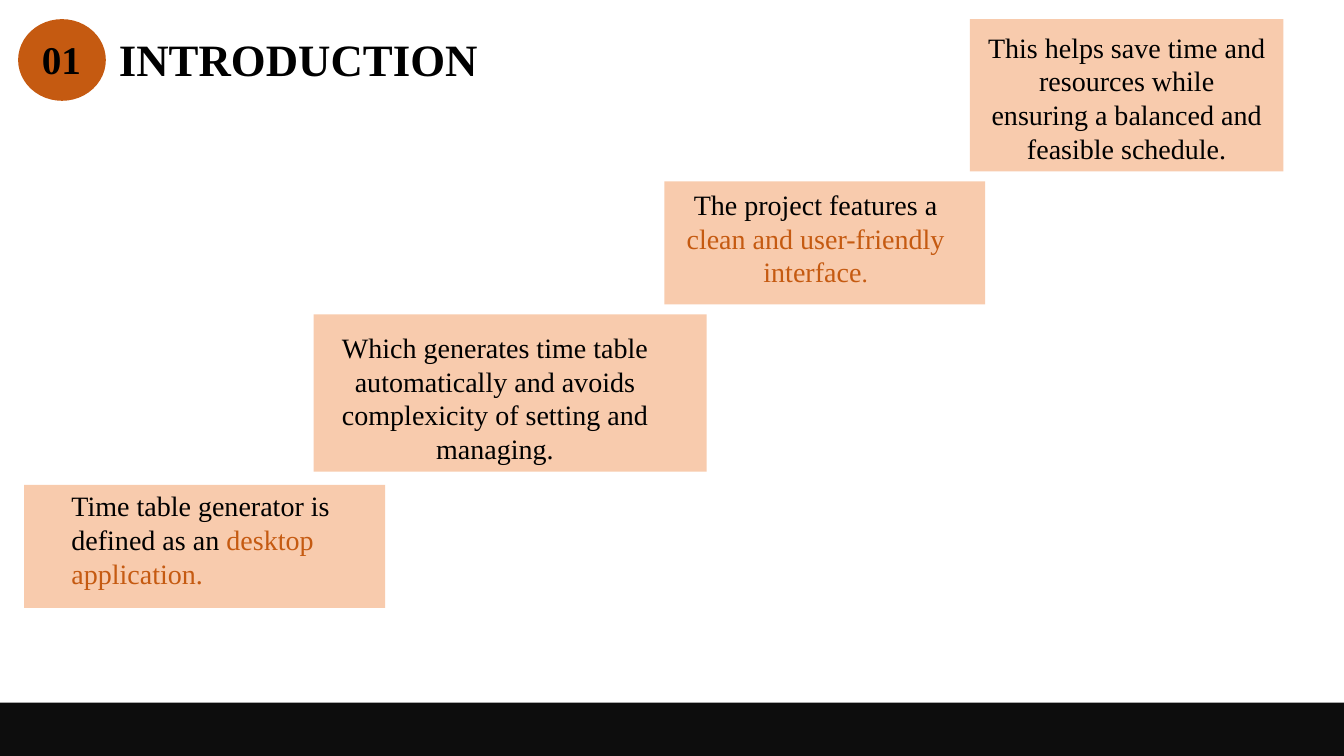
from pptx import Presentation
from pptx.dml.color import RGBColor
from pptx.enum.shapes import MSO_SHAPE
from pptx.enum.text import MSO_AUTO_SIZE, PP_ALIGN
from pptx.util import Inches, Pt

BLACK = RGBColor(0x00, 0x00, 0x00)
FOOTER = RGBColor(0x0D, 0x0D, 0x0D)
ORANGE = RGBColor(0xC5, 0x5A, 0x11)
PEACH = RGBColor(0xF8, 0xCB, 0xAD)
FONT = "Times New Roman"

# Boxes are (left, top, width, height) in inches; runs are (text, size, colour).
FOOTER_BOX = (0, 6.97, 13.33, 0.53)
BADGE_BOX = (0.18, 0.19, 0.87, 0.81)
HEADINGS = [
    ((-0.51, 0.3, 2.24, 0.57), "01", 28),
    ((1.01, 0.27, 3.9, 0.64), "INTRODUCTION", 32),
]
# Each step: card box, text box, alignment, runs.
STEPS = [
    ((0.24, 4.81, 3.58, 1.22), (0.61, 4.8, 3.11, 1.11), PP_ALIGN.LEFT,
     [("Time table generator is defined as an ", 20, BLACK),
      ("desktop application.", 20, ORANGE)]),
    ((3.11, 3.12, 3.9, 1.56), (3.12, 3.23, 3.58, 1.45), PP_ALIGN.CENTER,
     [("Which generates time table automatically and avoids "
       "complexicity of setting and managing.", 20, BLACK)]),
    ((6.59, 1.8, 3.18, 1.22), (6.59, 1.81, 3, 1.11), PP_ALIGN.CENTER,
     [("The project features a ", 20, BLACK),
      ("clean and user-friendly interface", 20, ORANGE),
      (".", 18, ORANGE)]),
    ((9.62, 0.19, 3.11, 1.51), (9.7, 0.25, 2.95, 1.45), PP_ALIGN.CENTER,
     [("This helps save time and resources while ensuring "
       "a balanced and feasible schedule.", 20, BLACK)]),
]


def add_block(s, kind, box, color):
    sp = s.shapes.add_shape(kind, *map(Inches, box))
    sp.shadow.inherit = False
    sp.fill.solid()
    sp.fill.fore_color.rgb = color
    sp.line.fill.background()
    return sp


def add_text(s, box, runs, align, bold=False):
    tf = s.shapes.add_textbox(*map(Inches, box)).text_frame
    tf.word_wrap = True
    tf.auto_size = MSO_AUTO_SIZE.SHAPE_TO_FIT_TEXT
    p = tf.paragraphs[0]
    p.alignment = align
    for text, size, color in runs:
        r = p.add_run()
        r.text = text
        r.font.name = FONT
        r.font.size = Pt(size)
        r.font.bold = bold
        r.font.color.rgb = color


def main():
    prs = Presentation()
    prs.slide_width, prs.slide_height = Inches(13.33), Inches(7.5)
    s = prs.slides.add_slide(prs.slide_layouts[6])

    add_block(s, MSO_SHAPE.RECTANGLE, FOOTER_BOX, FOOTER)
    add_block(s, MSO_SHAPE.OVAL, BADGE_BOX, ORANGE)
    for box, text, size in HEADINGS:
        add_text(s, box, [(text, size, BLACK)], PP_ALIGN.CENTER, bold=True)
    for card, box, align, runs in STEPS:
        add_block(s, MSO_SHAPE.RECTANGLE, card, PEACH)
        add_text(s, box, runs, align)

    prs.save("out.pptx")


if __name__ == "__main__":
    main()
